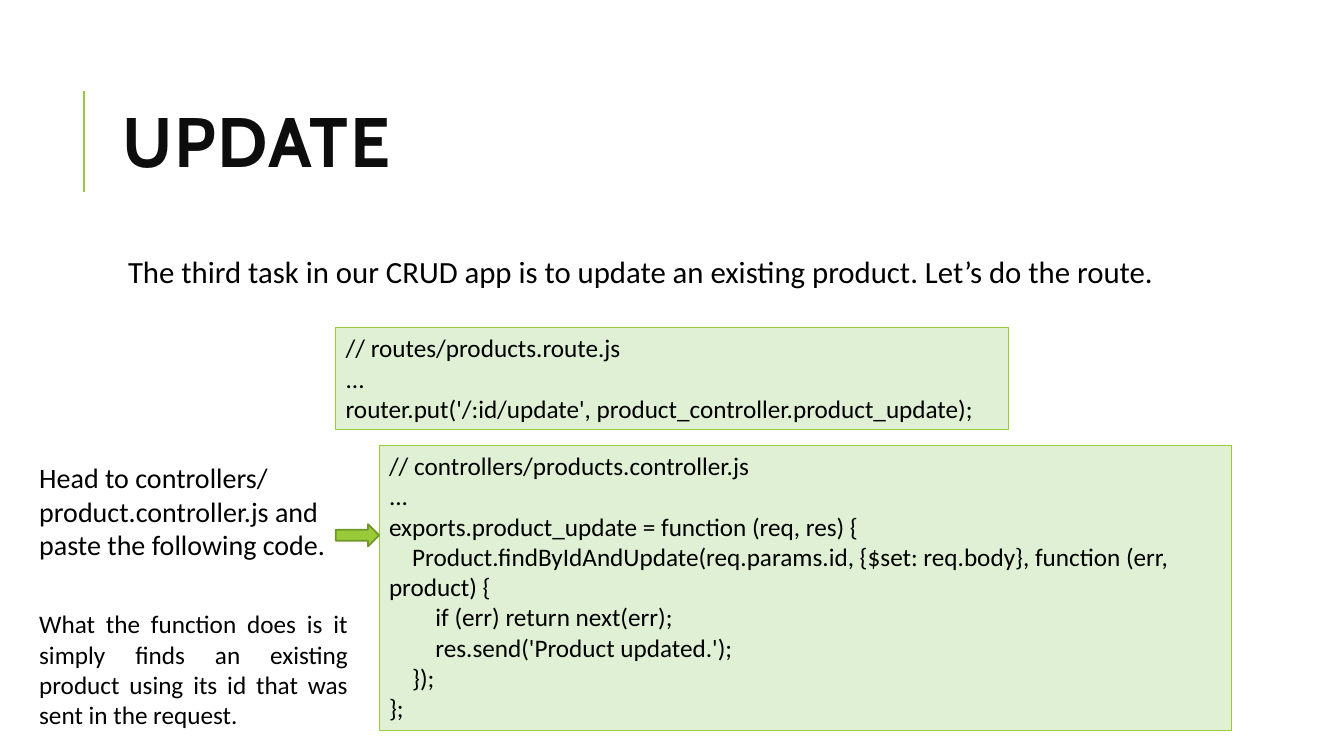
from lxml.etree import SubElement
from pptx import Presentation
from pptx.dml.color import RGBColor
from pptx.enum.shapes import MSO_CONNECTOR, MSO_SHAPE
from pptx.enum.text import MSO_ANCHOR, PP_ALIGN
from pptx.oxml.ns import qn
from pptx.util import Inches, Pt

GREEN = RGBColor(0x99, 0xCB, 0x38)
DARK_GREEN = RGBColor(0x71, 0x96, 0x29)
PALE_GREEN = RGBColor(0xDF, 0xF0, 0xD4)
BLACK = RGBColor(0, 0, 0)
TITLE_BLACK = RGBColor(0x0D, 0x0D, 0x0D)
CODE_INDENT = 0.23

# Each code line is (indent level, text).
ROUTE_CODE = [
    (0, "// routes/products.route.js"),
    (0, "..."),
    (0, "router.put('/:id/update', product_controller.product_update);"),
]
CONTROLLER_CODE = [
    (0, "// controllers/products.controller.js"),
    (0, "..."),
    (0, "exports.product_update = function (req, res) {"),
    (1, "Product.findByIdAndUpdate(req.params.id, {$set: req.body}, "
        "function (err, product) {"),
    (2, "if (err) return next(err);"),
    (2, "res.send('Product updated.');"),
    (1, "});"),
    (0, "};"),
]


class SlideBuilder:
    """Holds the text style and the current slide."""

    def __init__(self, page, font="Calibri"):
        """Keep the slide to draw on and its body font."""
        self.page = page
        self.font = font

    def add_span(self, para, text, size, color=BLACK, font=None, bold=False):
        """Add one run to a paragraph and return it."""
        span = para.add_run()
        span.text = text
        span.font.name = font or self.font
        span.font.size = Pt(size)
        span.font.bold = bold
        span.font.color.rgb = color
        return span

    def text_box(self, place, anchor=MSO_ANCHOR.TOP):
        """Add a wrapping text box and return its text frame."""
        frame = self.page.shapes.add_textbox(*map(Inches, place)).text_frame
        frame.word_wrap = True
        frame.vertical_anchor = anchor
        return frame

    def title(self, place, text):
        """Add the bold, slightly spaced slide title."""
        para = self.text_box(place, MSO_ANCHOR.MIDDLE).paragraphs[0]
        para.line_spacing = 0.8
        span = self.add_span(para, text, 50, TITLE_BLACK, "Cabin", True)
        span.font._element.set("spc", "100")

    def lead(self, place, text):
        """Add the introductory sentence."""
        frame = self.text_box(place)
        frame.margin_left = Inches(0.15)
        frame.margin_top = frame.margin_right = frame.margin_bottom = Inches(0.05)
        frame.paragraphs[0].line_spacing = 0.9
        self.add_span(frame.paragraphs[0], text, 22)

    def note(self, place, text, size, align=PP_ALIGN.LEFT):
        """Add a side note."""
        para = self.text_box(place).paragraphs[0]
        para.alignment = align
        self.add_span(para, text, size)

    def shape(self, kind, place, fill, line, width):
        """Add a filled and outlined preset shape."""
        shape = self.page.shapes.add_shape(kind, *map(Inches, place))
        shape.shadow.inherit = False
        shape.fill.solid()
        shape.fill.fore_color.rgb = fill
        shape.line.color.rgb = line
        shape.line.width = Pt(width)
        return shape

    def code(self, place, lines):
        """Add a code panel with first-line indents by level."""
        box = self.shape(MSO_SHAPE.RECTANGLE, place, PALE_GREEN, GREEN, 0.75)
        frame = box.text_frame
        frame.word_wrap = True
        frame.vertical_anchor = MSO_ANCHOR.TOP
        for number, (level, text) in enumerate(lines):
            para = frame.add_paragraph() if number else frame.paragraphs[0]
            para.alignment = PP_ALIGN.LEFT
            indent = Inches(CODE_INDENT * level)
            para._p.get_or_add_pPr().set("indent", str(indent))
            self.add_span(para, text, 18)

    def rule(self, start, end):
        """Add a straight accent line without shadow."""
        line = self.page.shapes.add_connector(
            MSO_CONNECTOR.STRAIGHT, *map(Inches, start + end))
        line.line.color.rgb = GREEN
        line.line.width = Pt(1.5)
        SubElement(line._element.spPr, qn("a:effectLst"))


deck = Presentation()
deck.slide_width = Inches(13.33)
deck.slide_height = Inches(7.5)
slide = SlideBuilder(deck.slides.add_slide(deck.slide_layouts[6]))

slide.rule((0.83, 1.9), (0.83, 0.9))
slide.title((1.12, 0.64, 10.63, 1.64), "UPDATE")
slide.lead((1.12, 2.5, 10.63, 0.58),
           "The third task in our CRUD app is to update an existing product. "
           "Let’s do the route.")
slide.code((3.33, 3.25, 6.67, 1.01), ROUTE_CODE)
slide.code((3.76, 4.42, 8.45, 2.83), CONTROLLER_CODE)
slide.note((0.29, 4.52, 3.48, 1.11),
           "Head to controllers/ product.controller.js and paste "
           "the following code.", 20)
slide.shape(MSO_SHAPE.RIGHT_ARROW, (3.33, 5.2, 0.43, 0.22),
            GREEN, DARK_GREEN, 1.25)
slide.note((0.29, 5.99, 3.26, 1.31),
           "What the function does is it simply finds an existing product "
           "using its id that was sent in the request.", 18, PP_ALIGN.JUSTIFY)

deck.save("out.pptx")
